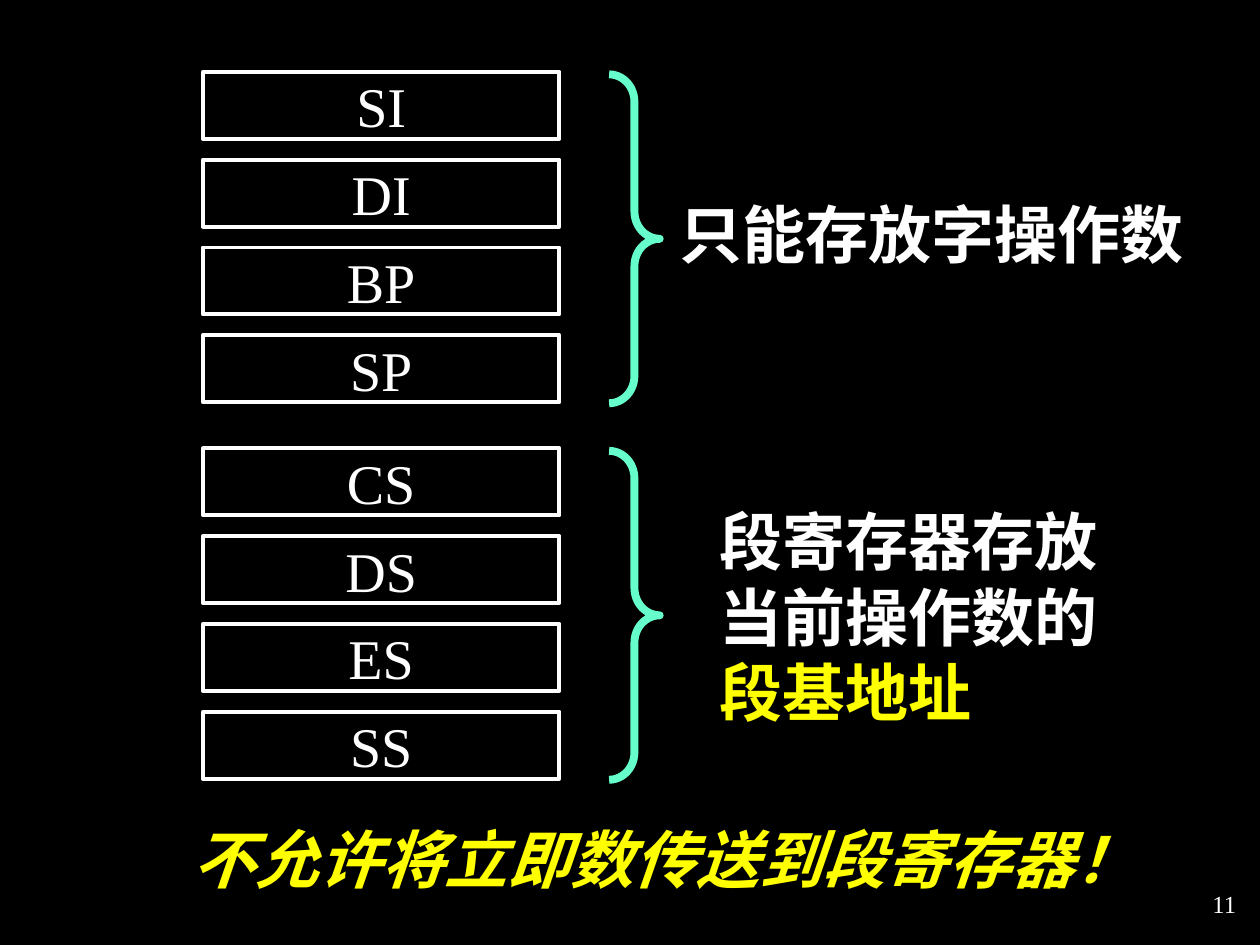
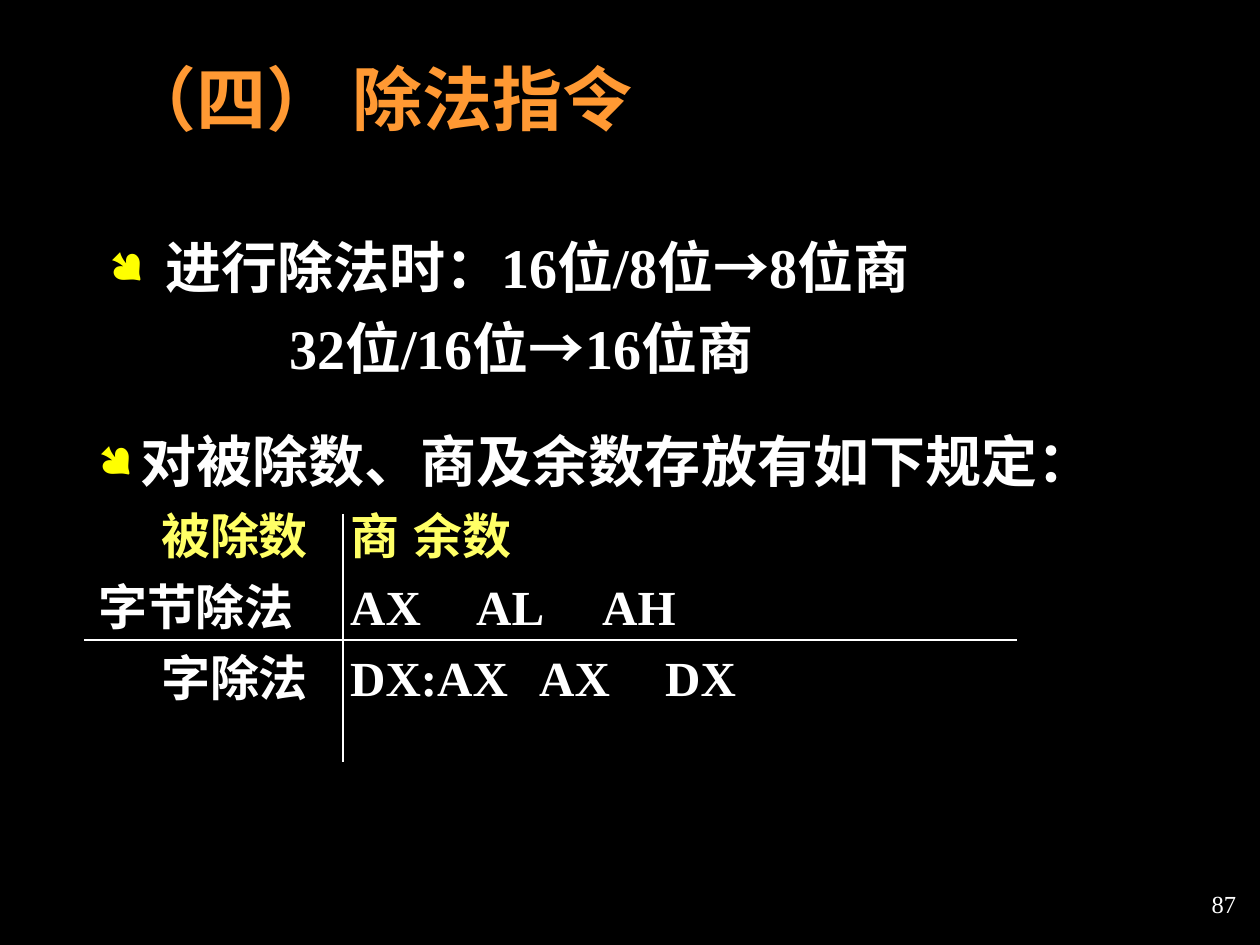
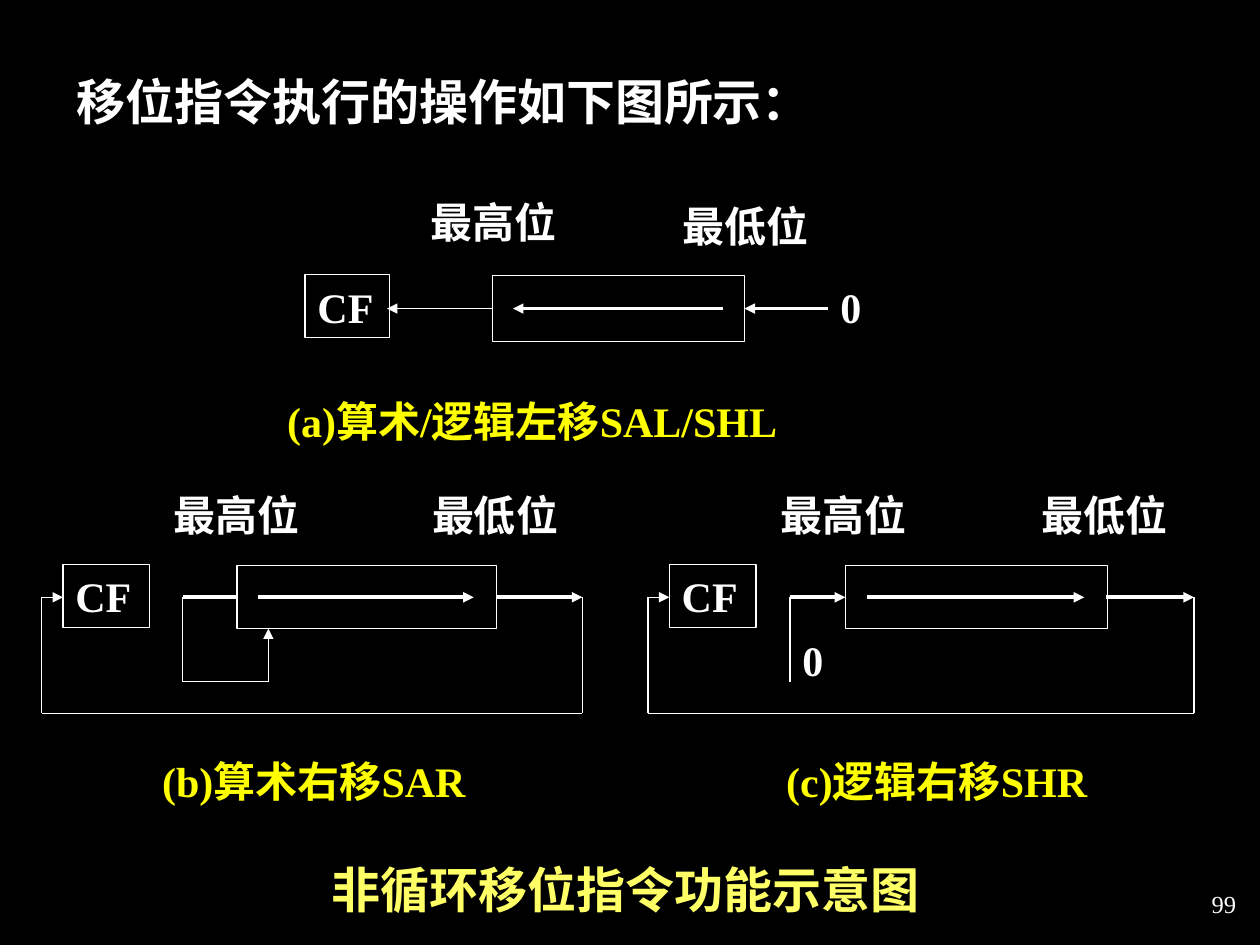
from lxml.etree import SubElement
from pptx import Presentation
from pptx.dml.color import RGBColor
from pptx.enum.shapes import MSO_CONNECTOR, MSO_SHAPE
from pptx.enum.text import MSO_ANCHOR, MSO_AUTO_SIZE, PP_ALIGN
from pptx.oxml.ns import qn
from pptx.util import Cm, Pt

FONT = "Times New Roman"
BLACK, WHITE, YELLOW = "000000", "FFFFFF", "FFFF00"
PALE, ORANGE, MINT = "FFFF66", "FF9933", "66FFCC"
TITLE_ONLY, BLANK = 5, 6
PAD = (0.25, 0.13)


def rgb(code):
    return RGBColor.from_string(code)


class Deck:
    """Holds the shared style and the slide being filled."""

    def __init__(self):
        self.prs = Presentation()
        self.prs.slide_width, self.prs.slide_height = Cm(25.4), Cm(19.05)
        fill = self.prs.slide_master.background.fill
        fill.solid()
        fill.fore_color.rgb = rgb(BLACK)

    def page(self, number, layout=BLANK):
        self.slide = self.prs.slides.add_slide(self.prs.slide_layouts[layout])
        self.text(number, 19.89, 17.58, 5.28, 1.27, size=14, bold=False,
                  align=PP_ALIGN.RIGHT, anchor=MSO_ANCHOR.MIDDLE)

    def frame(self, shape, pad=PAD, anchor=MSO_ANCHOR.TOP):
        frame = shape.text_frame
        frame.word_wrap = True
        frame.auto_size = MSO_AUTO_SIZE.NONE
        frame.vertical_anchor = anchor
        frame.margin_left = frame.margin_right = Cm(pad[0])
        frame.margin_top = frame.margin_bottom = Cm(pad[1])
        return frame

    def style(self, para, size, color=WHITE, bold=True, italic=False,
              align=PP_ALIGN.LEFT):
        para.alignment = align
        font = para.font
        font.name, font.size = FONT, Pt(size)
        font.bold, font.italic = bold, italic
        font.color.rgb = rgb(color)

    def label(self, shape, words, size, pad=PAD, anchor=MSO_ANCHOR.TOP, **look):
        para = self.frame(shape, pad, anchor).paragraphs[0]
        para.text = words
        self.style(para, size, **look)
        return para

    def box(self, x, y, w, h):
        return self.slide.shapes.add_textbox(Cm(x), Cm(y), Cm(w), Cm(h))

    def text(self, words, x, y, w, h=1.27, size=24, **look):
        return self.label(self.box(x, y, w, h), words, size, **look)

    def title(self, words, x, y, w, h, size, **look):
        shape = self.slide.shapes.title
        shape.left, shape.top, shape.width, shape.height = map(Cm, (x, y, w, h))
        self.label(shape, words, size, **look)

    def shape(self, kind, x, y, w, h, color=WHITE, width=0.75):
        shape = self.slide.shapes.add_shape(kind, Cm(x), Cm(y), Cm(w), Cm(h))
        shape.shadow.inherit = False
        shape.fill.background()
        shape.line.color.rgb = rgb(color)
        shape.line.width = Pt(width)
        return shape

    def rect(self, x, y, w, h, width=0.75):
        return self.shape(MSO_SHAPE.RECTANGLE, x, y, w, h, width=width)

    def brace(self, x, y, w, h):
        shape = self.shape(MSO_SHAPE.RIGHT_BRACE, x, y, w, h, MINT, 4.5)
        shape.adjustments[0] = 0.54

    def route(self, *points, width=0.75, arrow=False):
        """Joins the points by straight lines; an arrowhead ends the last."""
        for start, end in zip(points, points[1:]):
            line = self.slide.shapes.add_connector(
                MSO_CONNECTOR.STRAIGHT, *map(Cm, start + end))
            line.line.color.rgb = rgb(WHITE)
            line.line.width = Pt(width)
            props = line._element.spPr
            SubElement(props, qn("a:effectLst"))
            if arrow and end == points[-1]:
                SubElement(props.find(qn("a:ln")), qn("a:tailEnd"), type="triangle")

    def row(self, frame, words, size, gap, left=0.0, hang=0.0, stops=(),
            bullet=False, color=WHITE):
        """Adds a paragraph with its own indent, bullet and tab stops."""
        para = frame.paragraphs[0]
        if para.text:
            para = frame.add_paragraph()
        para.text = words
        para.space_before = Pt(gap)
        props = para._p.get_or_add_pPr()
        props.set("marL", str(Cm(left)))
        props.set("indent", str(-Cm(hang)))
        if bullet:
            tint = SubElement(props, qn("a:buClr"))
            SubElement(tint, qn("a:srgbClr"), val=YELLOW)
            SubElement(props, qn("a:buSzPct"), val="80000")
            SubElement(props, qn("a:buFont"), typeface="Wingdings")
            SubElement(props, qn("a:buChar"), char="●")
        if stops:
            tabs = SubElement(props, qn("a:tabLst"))
            for stop in stops:
                SubElement(tabs, qn("a:tab"), pos=str(Cm(stop)), algn="l")
        self.style(para, size, color)

    def cell(self, x, y, w):
        self.label(self.rect(x, y, w, 1.27), "CF", 24)


def registers(deck):
    deck.page("11")
    for top, names in ((1.45, "SI DI BP SP"), (9.04, "CS DS ES SS")):
        for i, name in enumerate(names.split()):
            shape = deck.rect(4.09, top + 1.77 * i, 7.19, 1.35, 2.25)
            deck.label(shape, name, 32, (0, 0), MSO_ANCHOR.MIDDLE,
                       bold=False, align=PP_ALIGN.CENTER)
        deck.brace(12.28, top + 0.05, 1.02, 6.63)
    note = {"size": 36, "pad": (0, 0)}
    deck.text("只能存放字操作数", 13.69, 3.94, 11, 1.52, **note)
    para = deck.text("段寄存器存放当前操作数的", 14.5, 10.13, 8.15, 4.57, **note)
    run = para.add_run()
    run.text = "段基地址"
    run.font.color.rgb = rgb(YELLOW)
    deck.text("不允许将立即数传送到段寄存器！", 3.89, 16.54, 20.96, 1.52,
              color=YELLOW, italic=True, **note)


def division(deck):
    deck.page("87", TITLE_ONLY)
    deck.title("（四） 除法指令", 2.31, 1.14, 11.4, 1.8, 40,
               color=ORANGE, anchor=MSO_ANCHOR.BOTTOM)
    sizes = deck.frame(deck.box(1.63, 4.55, 23.47, 3.38))
    deck.row(sizes, "进行除法时：16位/8位→8位商", 32, 8, 1.45, 1.13, bullet=True)
    deck.row(sizes, "32位/16位→16位商", 32, 8, 3.95)
    deck.route((1.7, 12.9), (20.5, 12.9), width=1)
    deck.route((6.91, 10.36), (6.91, 15.37), width=1)
    rules = deck.frame(deck.box(1.73, 8.46, 23.47, 6.55))
    deck.row(rules, "对被除数、商及余数存放有如下规定：", 32, 7, 0.86, 0.86, bullet=True)
    deck.row(rules, "\t被除数\t商\t余数", 28, 7, stops=(5.52, 11.05, 12.66), color=PALE)
    deck.row(rules, "字节除法\tAX\tAL\tAH", 28, 7, stops=(6.19, 11.27, 12.9))
    deck.row(rules, "\t字除法\tDX:AX\tAX\tDX", 28, 7, stops=(0.44, 5.97, 11.09, 12.94))


def shift_left(deck):
    mid = 6.22
    deck.text("最高位", 8.43, 3.84, 3.81)
    deck.text("最低位", 13.51, 3.91, 3.81)
    deck.cell(6.15, 5.54, 1.7)
    deck.rect(9.93, 5.56, 5.08, 1.32)
    deck.route((9.93, mid), (7.8, mid), width=1, arrow=True)
    deck.route((14.58, mid), (10.34, mid), width=2, arrow=True)
    deck.route((16.69, mid), (15.01, mid), width=2, arrow=True)
    deck.text("0", 16.69, 5.54, 1.7)
    deck.text("(a)算术/逻辑左移SAL/SHL", 5.54, 7.85, 12.65, color=YELLOW)


def shift_right(deck, left, scale, signed):
    """Draws a right shift; a signed one feeds the top bit back."""
    def at(x):
        return left + scale * x

    mid, low, base = 12.04, 13.74, 14.38
    deck.text("最高位", at(2.41), 9.73, 3.9)
    deck.text("最低位", at(7.62), 9.73, 3.9)
    deck.cell(at(0.43), 11.38, 1.75)
    deck.rect(at(3.94), 11.4, scale * 5.23, 1.27)
    deck.route((at(2.84), mid), (at(3.94), mid), width=2, arrow=not signed)
    deck.route((at(4.37), mid), (at(8.71), mid), width=2, arrow=True)
    deck.route((at(9.15), mid), (at(10.9), mid), width=2, arrow=True)
    deck.route((at(10.9), mid), (at(10.9), base), (left, base), (left, mid),
               (at(0.43), mid), arrow=True)
    if signed:
        deck.route((at(2.84), mid), (at(2.84), low), (at(4.57), low),
                   (at(4.57), 12.67), arrow=True)
        deck.text("(b)算术右移SAR", 3.02, 15.11, 6.76, 2.29, color=YELLOW)
    else:
        deck.route((at(2.84), mid), (at(2.84), low))
        deck.text("0", at(2.84), 12.67, 1.75)
        deck.text("(c)逻辑右移SHR", 15.6, 15.11, 6.83, 2.29, color=YELLOW)


def shifts(deck):
    deck.page("99", TITLE_ONLY)
    deck.title("移位指令执行的操作如下图所示：", 1.3, 1.32, 19.89, 1.6, 28)
    shift_left(deck)
    shift_right(deck, 0.84, 1, True)
    shift_right(deck, 13.06, 1.01, False)
    deck.text("非循环移位指令功能示意图", 5.31, 17.2, 14.6, 1.45, size=28,
              color=PALE, align=PP_ALIGN.CENTER)


def main():
    deck = Deck()
    registers(deck)
    division(deck)
    shifts(deck)
    deck.prs.save("out.pptx")


if __name__ == "__main__":
    main()
